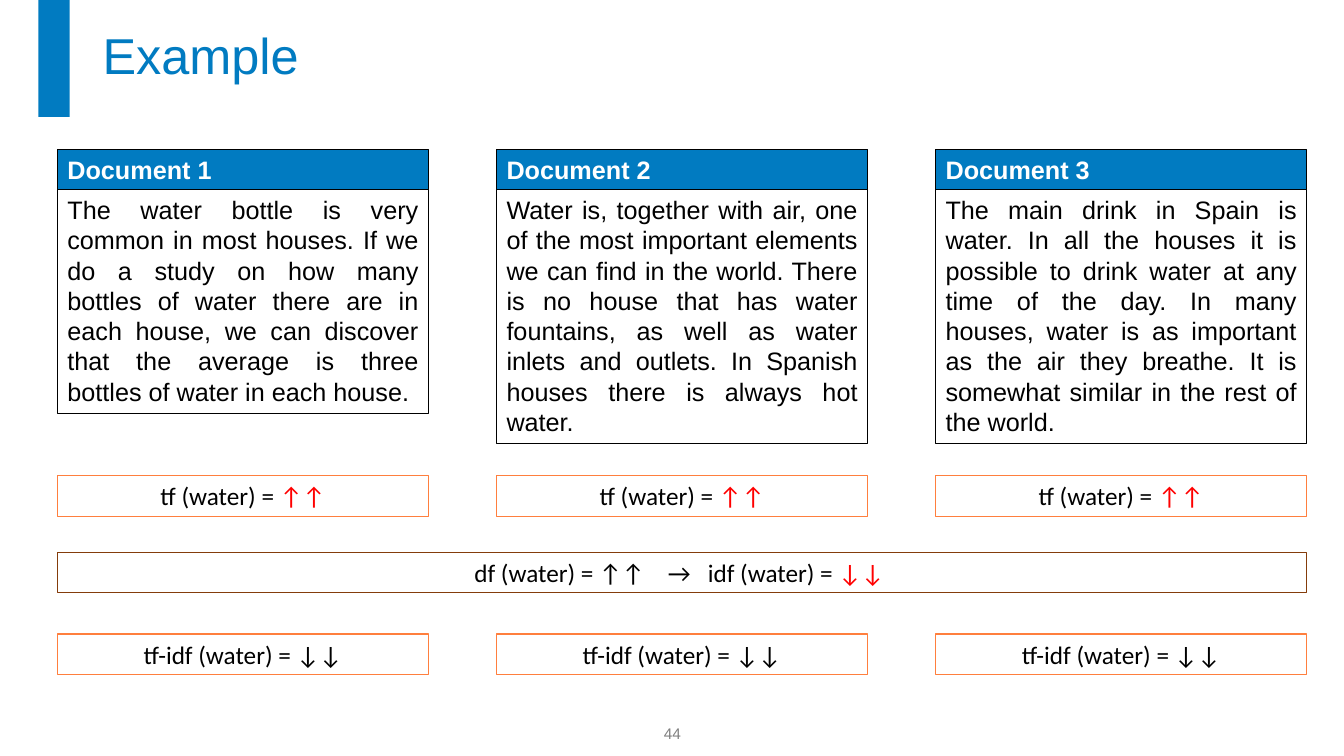
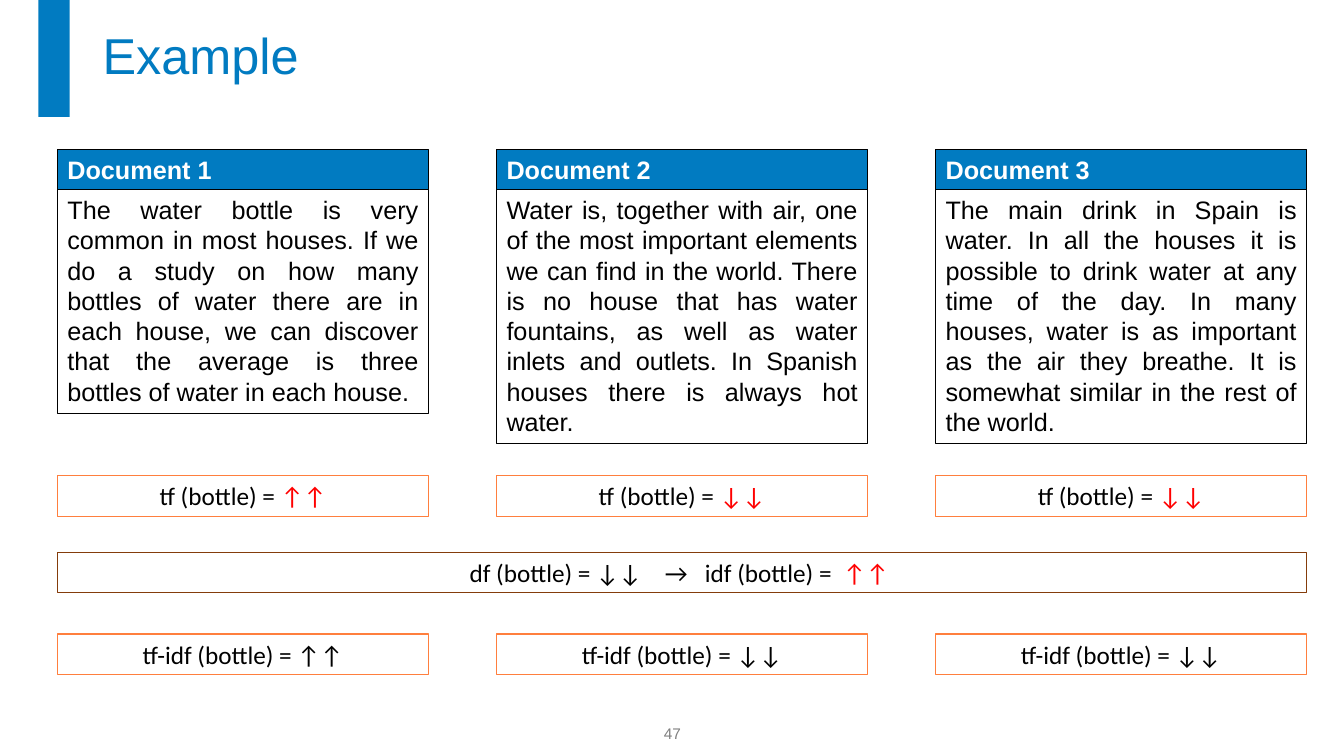
"""Builds two slides weighing one term across three documents with tf-idf."""
from pptx import Presentation
from pptx.dml.color import RGBColor
from pptx.enum import shapes, text
from pptx.util import Inches, Pt

BLUE = RGBColor(0x01, 0x7B, 0xC1)
ORANGE = RGBColor(0xFF, 0x7F, 0x3E)
BROWN = RGBColor(0x84, 0x3C, 0x0B)
RED = RGBColor(0xFF, 0x00, 0x00)
GRAY = RGBColor(0x80, 0x80, 0x80)
BLACK = RGBColor(0x00, 0x00, 0x00)
WHITE = RGBColor(0xFF, 0xFF, 0xFF)

LEFT, WIDTH = 0.57, 12.39
COL_W, ROW_H = 3.68, 0.4
STEP = (WIDTH - COL_W) / 2
SPACE = 4.1

DOCUMENTS = [
    ("The water bottle is very common in most houses. If we do a study on how "
     "many bottles of water there are in each house, we can discover that the "
     "average is three bottles of water in each house.", 2.22),
    ("Water is, together with air, one of the most important elements we can "
     "find in the world. There is no house that has water fountains, as well as "
     "water inlets and outlets. In Spanish houses there is always hot water.", 2.52),
    ("The main drink in Spain is water. In all the houses it is possible to "
     "drink water at any time of the day. In many houses, water is as important "
     "as the air they breathe. It is somewhat similar in the rest of the world.", 2.52),
]
SLIDES = [
    dict(number="44", term="water", tf=["↑↑", "↑↑", "↑↑"], df="↑↑", idf="↓↓",
         before=0, after=SPACE, tf_idf=["↓↓", "↓↓", "↓↓"]),
    dict(number="47", term="bottle", tf=["↑↑", "↓↓", "↓↓"], df="↓↓", idf="↑↑",
         before=SPACE, after=0, tf_idf=["↑↑", "↓↓", "↓↓"]),
]


def add_runs(tf, runs, size, font, align, bold=False):
    """Write (text, colour, letter spacing in points) runs into one paragraph."""
    tf.word_wrap = True
    p = tf.paragraphs[0]
    p.alignment = align
    for words, color, spacing in runs:
        r = p.add_run()
        r.text = words
        r.font.size, r.font.name, r.font.bold = Pt(size), font, bold
        r.font.color.rgb = color
        if spacing:
            r.font._element.set("spc", str(round(spacing * 100)))
    return p


def add_box(s, x, y, w, h, line, runs, font="Calibri",
            align=text.PP_ALIGN.CENTER, fill=None, bold=False):
    """Add an outlined box that grows with its text."""
    sp = s.shapes.add_shape(shapes.MSO_SHAPE.RECTANGLE,
                            Inches(x), Inches(y), Inches(w), Inches(h))
    sp.shadow.inherit = False
    if fill is None:
        sp.fill.background()
    else:
        sp.fill.solid()
        sp.fill.fore_color.rgb = fill
    sp.line.color.rgb = line
    sp.line.width = Pt(0.75)
    tf = sp.text_frame
    tf.vertical_anchor = text.MSO_ANCHOR.TOP
    add_runs(tf, runs, 18, font, align, bold)
    tf.auto_size = text.MSO_AUTO_SIZE.SHAPE_TO_FIT_TEXT


prs = Presentation()
prs.slide_width, prs.slide_height = Inches(13.33), Inches(7.5)

for data in SLIDES:
    s = prs.slides.add_slide(prs.slide_layouts[6])
    term = data["term"]

    bar = s.shapes.add_shape(shapes.MSO_SHAPE.RECTANGLE,
                             Inches(0.38), 0, Inches(0.31), Inches(1.16))
    bar.shadow.inherit = False
    bar.fill.solid()
    bar.fill.fore_color.rgb = BLUE
    bar.line.fill.background()

    title = s.shapes.add_textbox(Inches(0.92), 0, Inches(12.04), Inches(1.16))
    title.text_frame.vertical_anchor = text.MSO_ANCHOR.MIDDLE
    p = add_runs(title.text_frame, [("Example", BLUE, 0)], 36, "Arial",
                 text.PP_ALIGN.LEFT)
    p.line_spacing = 0.9

    footer = s.shapes.add_textbox(Inches(5.17), Inches(7.08), Inches(3), Inches(ROW_H))
    footer.text_frame.vertical_anchor = text.MSO_ANCHOR.MIDDLE
    add_runs(footer.text_frame, [(data["number"], GRAY, 0)], 11, "Arial",
             text.PP_ALIGN.CENTER)

    for i, (body, height) in enumerate(DOCUMENTS):
        x = LEFT + i * STEP
        add_box(s, x, 1.88, COL_W, height, BLACK, [(body, BLACK, 0)],
                "Arial", text.PP_ALIGN.JUSTIFY)
        add_box(s, x, 1.48, COL_W, ROW_H, BLACK, [(f"Document {i + 1}", WHITE, 0)],
                "Arial", text.PP_ALIGN.JUSTIFY, BLUE, True)
        add_box(s, x, 4.72, COL_W, ROW_H, ORANGE,
                [(f"tf ({term}) = ", BLACK, 0), (data["tf"][i], RED, 0)])
        add_box(s, x, 6.29, COL_W, ROW_H, ORANGE,
                [(f"tf-idf ({term}) = {data['tf_idf'][i]}", BLACK, 0)])

    add_box(s, LEFT, 5.48, WIDTH, ROW_H, BROWN, [
        (f"df ({term}) = {data['df']}", BLACK, 0),
        (" ", BLACK, 3 * SPACE),
        ("→", BLACK, 0),
        (" ", BLACK, 2 * SPACE),
        (f"idf ({term}) =", BLACK, 0),
        (" ", BLACK, data["before"]),
        (data["idf"], RED, 0),
        (" ", RED, data["after"]),
    ])

prs.save("out.pptx")
